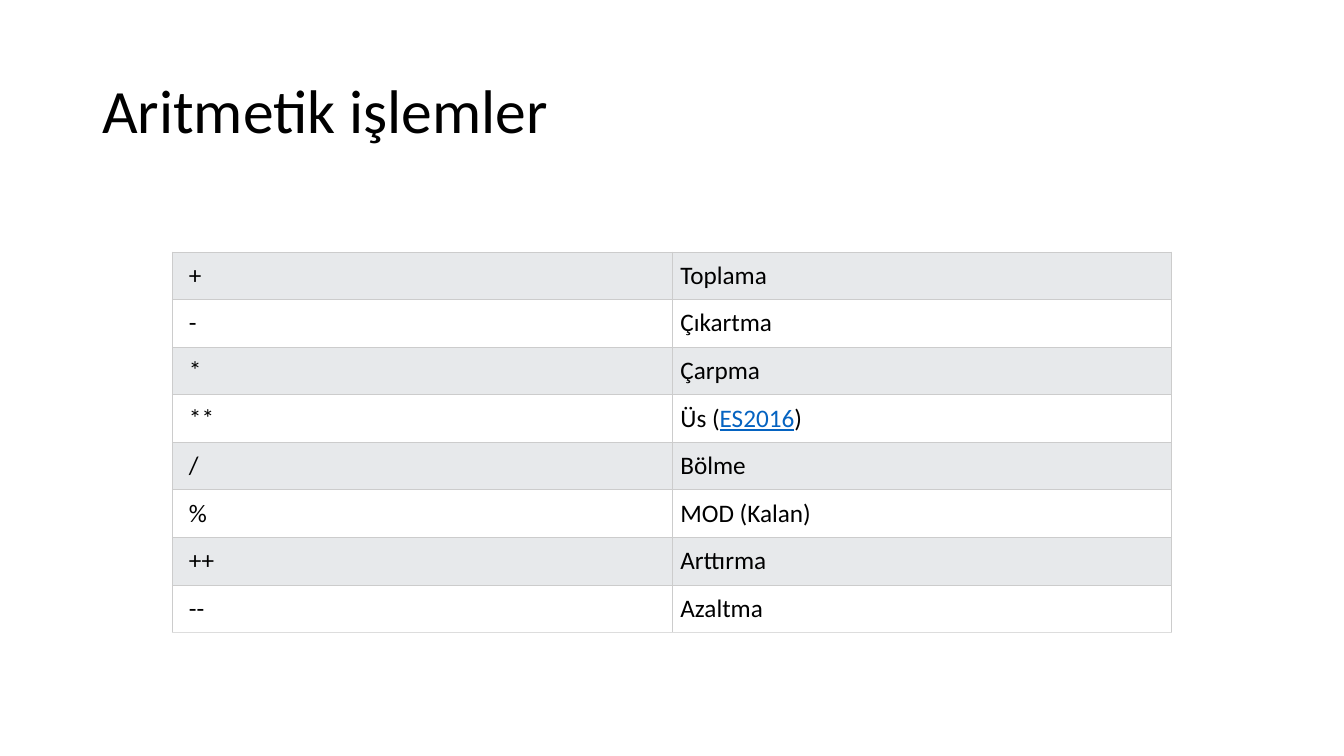
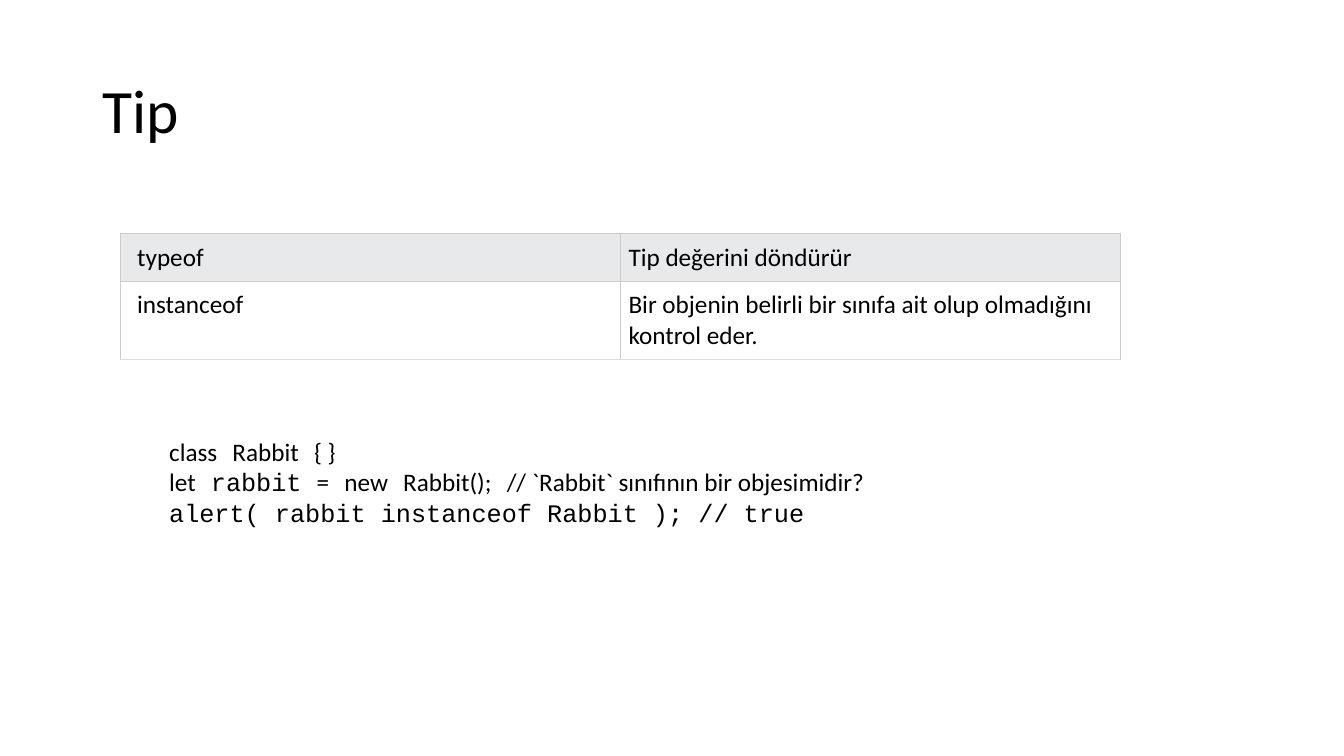
from lxml.etree import SubElement
from pptx import Presentation
from pptx.dml.color import RGBColor
from pptx.enum.text import MSO_ANCHOR as Anchor
from pptx.oxml.ns import qn
from pptx.util import Pt

BODY_FONT = "Calibri"
CODE_FONT = "Courier New"
BLACK, WHITE, BAND = "000000", "FFFFFF", "E7E9EB"
LINK, GRID, GRID_END = "0563C1", "CCCCCC", "DDDDDD"
TITLE_BOX = (66, 28.75, 828, 104.4)
COLUMN_WIDTH, LINE_HEIGHT, CELL_PADDING = 357, 22, 6
CODE = {"font": CODE_FONT}
CODE_GAP = (" ", CODE)


def color(value):
    """Turn a hex string into a colour."""
    return RGBColor.from_string(value)


def write_text(para, text, font=BODY_FONT, size=18, ink=BLACK, underline=False):
    """Append one formatted span to a paragraph."""
    span = para.add_run()
    span.text = text
    span.font.name = font
    span.font.size = Pt(size)
    span.font.color.rgb = color(ink)
    span.font.underline = underline


def write_spans(para, content):
    """Write a plain string or a list of (text, format) spans."""
    spans = [(content, {})] if isinstance(content, str) else content
    for text, style in spans:
        write_text(para, text, **style)


def add_text_frame(page, box):
    """Add a wrapping text box and return its frame."""
    frame = page.shapes.add_textbox(*map(Pt, box)).text_frame
    frame.word_wrap = True
    return frame


def add_title(page, text):
    """Place the slide title in the shared title area."""
    frame = add_text_frame(page, TITLE_BOX)
    frame.vertical_anchor = Anchor.MIDDLE
    para = frame.paragraphs[0]
    para.line_spacing = 0.9
    write_text(para, text, size=44)


def add_borders(cell, bottom):
    """Draw the four thin cell borders."""
    properties = cell._tc.get_or_add_tcPr()
    for side, ink in (("L", GRID), ("R", GRID), ("T", GRID), ("B", bottom)):
        line = SubElement(properties, qn(f"a:ln{side}"), w=str(Pt(0.75)))
        fill = SubElement(line, qn("a:solidFill"))
        SubElement(fill, qn("a:srgbClr"), val=ink)


def add_operator_table(page, left, top, rows, line_counts):
    """Place a banded table of operators and their meanings."""
    heights = [count * LINE_HEIGHT + 2 * CELL_PADDING for count in line_counts]
    box = (left, top, 2 * COLUMN_WIDTH, sum(heights))
    table = page.shapes.add_table(len(rows), 2, *map(Pt, box)).table
    table.first_row = table.horz_banding = False
    for row_index, (contents, height) in enumerate(zip(rows, heights)):
        table.rows[row_index].height = Pt(height)
        is_last = row_index == len(rows) - 1
        for column_index, content in enumerate(contents):
            cell = table.cell(row_index, column_index)
            add_borders(cell, GRID_END if is_last else GRID)
            cell.fill.solid()
            cell.fill.fore_color.rgb = color(WHITE if row_index % 2 else BAND)
            cell.margin_left = Pt(CELL_PADDING if column_index else 2 * CELL_PADDING)
            cell.margin_right = cell.margin_top = cell.margin_bottom = Pt(CELL_PADDING)
            write_spans(cell.text_frame.paragraphs[0], content)


def add_code(page, box, lines):
    """Place a code sample, one paragraph a line."""
    frame = add_text_frame(page, box)
    for index, line in enumerate(lines):
        para = frame.add_paragraph() if index else frame.paragraphs[0]
        write_spans(para, line)


def build_arithmetic(page):
    """Build the slide on arithmetic operators."""
    add_title(page, "Aritmetik işlemler")
    power = [("Üs (", {}), ("ES2016", {"ink": LINK, "underline": True}), (")", {})]
    rows = [
        ("+", "Toplama"),
        ("-", "Çıkartma"),
        ("*", "Çarpma"),
        ("**", power),
        ("/", "Bölme"),
        ("%", "MOD (Kalan)"),
        ("++", "Arttırma"),
        ("--", "Azaltma"),
    ]
    add_operator_table(page, 123, 180, rows, [1] * len(rows))


def build_types(page):
    """Build the slide on type operators."""
    add_title(page, "Tip")
    rows = [
        ("typeof", "Tip değerini döndürür"),
        ("instanceof", "Bir objenin belirli bir sınıfa ait olup olmadığını kontrol eder."),
    ]
    add_operator_table(page, 86, 167, rows, [1, 2])
    lines = [
        [("class", {}), CODE_GAP, ("Rabbit", {}), CODE_GAP, ("{ }", {})],
        [("let", {}), (" rabbit ", CODE), ("=", {}), CODE_GAP, ("new", {}), CODE_GAP,
         ("Rabbit();", {}), CODE_GAP, ("// `Rabbit` sınıfının bir objesimidir?", {})],
        [("alert( rabbit instanceof Rabbit ); // true", CODE)],
    ]
    add_code(page, (113.75, 308.25, 728, 72.75), lines)


deck = Presentation()
deck.slide_width, deck.slide_height = Pt(960), Pt(540)
for build in (build_arithmetic, build_types):
    build(deck.slides.add_slide(deck.slide_layouts[6]))
deck.save("out.pptx")
